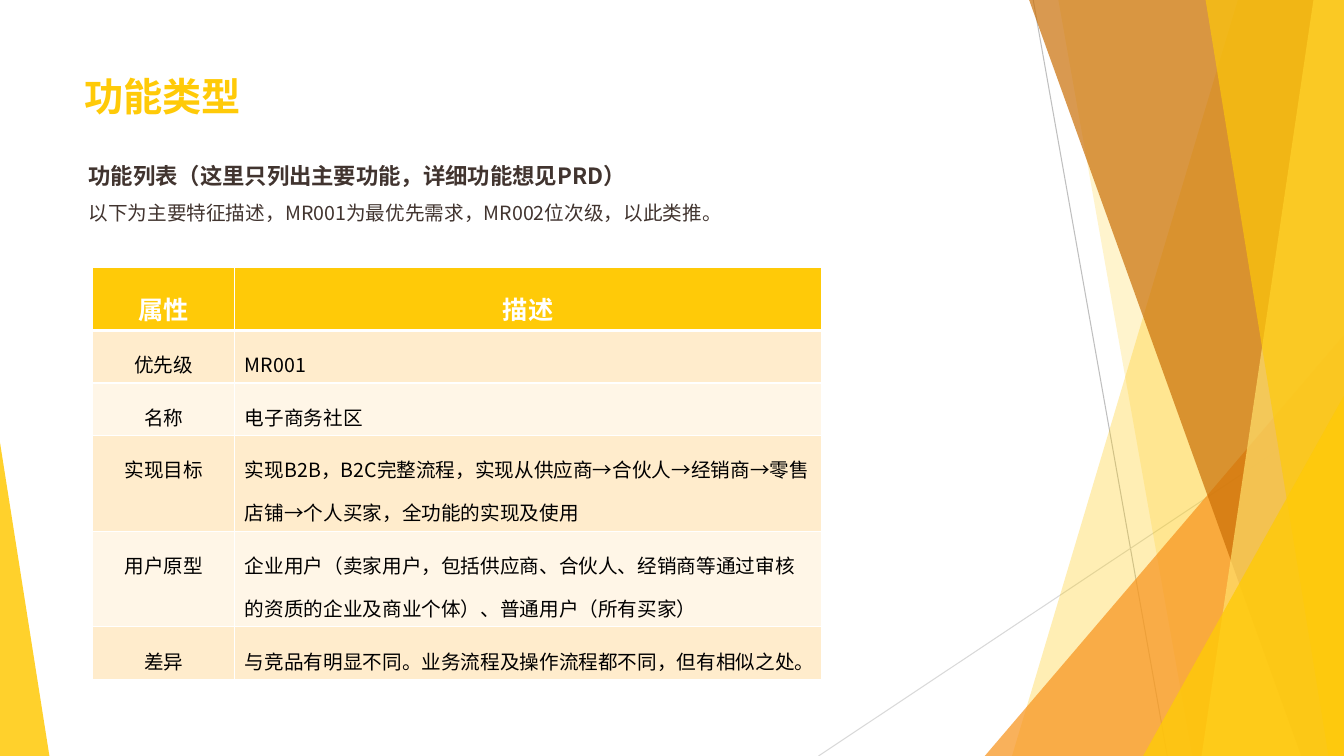
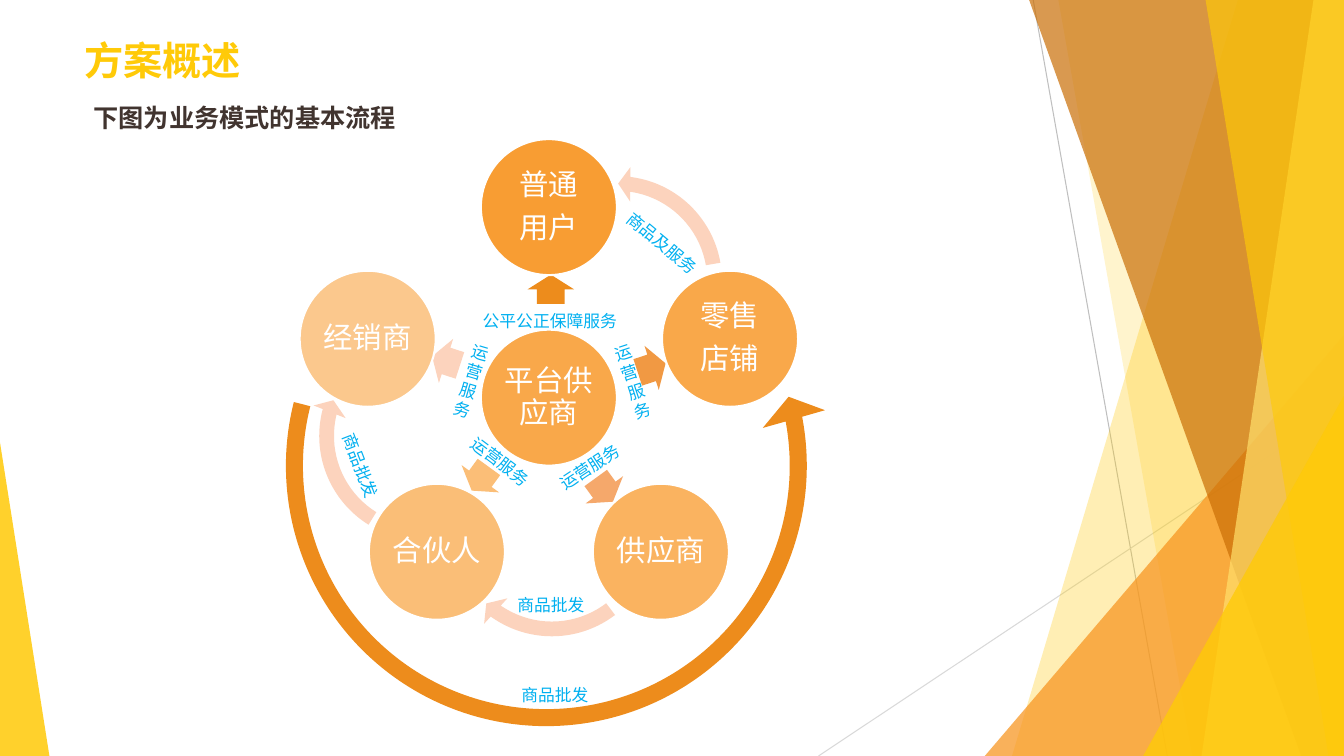
import dataclasses
import math

import lxml.etree
import pptx
import pptx.dml.color
import pptx.enum.shapes
import pptx.enum.text
import pptx.oxml
import pptx.oxml.ns
import pptx.util

CELL = pptx.util.Inches(0.1)
COLUMNS, ROWS = 133.33, 75
GOLD, ORANGE, BROWN, PALE_GOLD = "FFCA08", "F8931D", "CA6F06", "FFDF6B"
WHITE, BLACK, DARK, SKY = "FFFFFF", "000000", "41342F", "00B0F0"
AMBER, BLUSH = "ED8C1C", "FCD3BD"
BANDS = ("FFECCC", "FFF6E7")
LATIN_FONT, CHINESE_FONT = "Roboto", "Noto Sans CJK SC"
PRESET = pptx.enum.shapes.MSO_SHAPE
CENTER = pptx.enum.text.PP_ALIGN.CENTER
MIDDLE = pptx.enum.text.MSO_ANCHOR.MIDDLE
GROW = pptx.enum.text.MSO_AUTO_SIZE.SHAPE_TO_FIT_TEXT


@dataclasses.dataclass
class Box:
    """A rectangle measured in grid columns and rows."""

    left: float
    top: float
    width: float
    height: float

    def inner(self, left, top, width, height):
        """Return a box placed relative to this one."""
        return Box(self.left + left, self.top + top, width, height)

    def lengths(self):
        """Return left, top, width and height as slide lengths."""
        return [cells(value) for value in dataclasses.astuple(self)]


def cells(count):
    """Turn a count of grid cells into a length."""
    return pptx.util.Emu(round(count * CELL))


def color(hex_string):
    """Turn a hex string into a colour."""
    return pptx.dml.color.RGBColor.from_string(hex_string)


def paint(shape, hex_string, opacity=100):
    """Fill a shape without outline or shadow."""
    shape.shadow.inherit = False
    shape.line.fill.background()
    shape.fill.solid()
    shape.fill.fore_color.rgb = color(hex_string)
    if opacity < 100:
        tone = shape.element.spPr.find(".//" + pptx.oxml.ns.qn("a:srgbClr"))
        alpha = lxml.etree.SubElement(tone, pptx.oxml.ns.qn("a:alpha"))
        alpha.set("val", str(opacity * 1000))


def write(frame, lines, size, hex_string, font=CHINESE_FONT, bold=False,
          align=None, spacing=None, after=None):
    """Write each line as a paragraph of a text frame."""
    for index, line in enumerate(lines):
        fresh = index == 0 and not frame.paragraphs[0].runs
        paragraph = frame.paragraphs[0] if fresh else frame.add_paragraph()
        paragraph.alignment = align
        paragraph.line_spacing = spacing
        paragraph.space_after = after
        run = paragraph.add_run()
        run.text = line
        run.font.size = pptx.util.Pt(size)
        run.font.bold = bold
        run.font.name = font
        run.font.color.rgb = color(hex_string)
        east_asian = lxml.etree.SubElement(run.font._element, pptx.oxml.ns.qn("a:ea"))
        east_asian.set("typeface", font)


def add_text_box(slide, box, wrap=True):
    """Add an empty text box and return it."""
    text_box = slide.shapes.add_textbox(*box.lengths())
    text_box.text_frame.word_wrap = wrap
    return text_box


def add_preset(slide, preset, box, hex_string, opacity=100, rotation=0, adjustments=()):
    """Add a filled preset shape."""
    shape = slide.shapes.add_shape(preset, *box.lengths())
    paint(shape, hex_string, opacity)
    shape.rotation = rotation
    for index, value in enumerate(adjustments):
        shape.adjustments[index] = value
    return shape


def add_ray(slide, frame, start, end, hex_string):
    """Draw a thin line between two points of the frame."""
    points = [cells(value) for x, y in (start, end) for value in (frame.left + x, frame.top + y)]
    connector = slide.shapes.add_connector(pptx.enum.shapes.MSO_CONNECTOR.STRAIGHT, *points)
    connector.line.color.rgb = color(hex_string)
    connector.line.width = pptx.util.Pt(0.75)
    lxml.etree.SubElement(connector.element.spPr, pptx.oxml.ns.qn("a:effectLst"))


def add_shard(slide, frame, edge, hex_string, opacity):
    """Fill the frame from a slanted edge to its right side."""
    upper, lower = edge
    corners = [(upper, 0), (frame.width, 0), (frame.width, frame.height), (lower, frame.height)]
    points = [(cells(frame.left + x), cells(frame.top + y)) for x, y in corners]
    builder = slide.shapes.build_freeform(*points[0], scale=1.0)
    builder.add_line_segments(points[1:], close=True)
    paint(builder.convert_to_shape(), hex_string, opacity)


def add_wedge(slide, frame, wedge, hex_string, opacity):
    """Stand a triangle on the bottom of the frame."""
    left, width, height, apex = wedge
    box = frame.inner(left, frame.height - height, width, height)
    add_preset(slide, PRESET.ISOSCELES_TRIANGLE, box, hex_string, opacity, adjustments=[apex])


def draw_facets(slide, frame):
    """Draw the overlapping facets shared by all slides."""
    add_ray(slide, frame, (102.5, 0), (115.8, frame.height), "BFBFBF")
    add_ray(slide, frame, (frame.width, 40.3), (81.2, frame.height), "D9D9D9")
    facets = (
        (add_shard, (122.8, 100.4), GOLD, 30),
        (add_shard, (105, 118.3), GOLD, 20),
        (add_wedge, (97.7, 35.6, 41.7, 1), ORANGE, 72),
        (add_shard, (102.1, 129.1), BROWN, 70),
        (add_shard, (130.3, 119.2), PALE_GOLD, 70),
        (add_shard, (119.6, 131.8), GOLD, 65),
        (add_wedge, (113.4, 19.9, 35.7, 1), GOLD, 80),
        (add_wedge, (0, 4.9, 31.1, 0), GOLD, 85),
    )
    for draw, geometry, hex_string, opacity in facets:
        draw(slide, frame, geometry, hex_string, opacity)


def start_slide(presentation, title, title_box):
    """Add a blank slide with facets and a title."""
    slide = presentation.slides.add_slide(presentation.slide_layouts[6])
    draw_facets(slide, Box(0, 0, COLUMNS, ROWS))
    frame = add_text_box(slide, title_box).text_frame
    write(frame, [title], 28, GOLD, LATIN_FONT, bold=True)
    return slide


def set_borders(cell, bottom_width):
    """Give a table cell white borders."""
    properties = cell._tc.get_or_add_tcPr()
    for side, width in (("L", 1), ("R", 1), ("T", 1), ("B", bottom_width)):
        border = lxml.etree.SubElement(properties, pptx.oxml.ns.qn("a:ln" + side))
        border.set("w", str(pptx.util.Pt(width)))
        fill = lxml.etree.SubElement(border, pptx.oxml.ns.qn("a:solidFill"))
        lxml.etree.SubElement(fill, pptx.oxml.ns.qn("a:srgbClr")).set("val", WHITE)


def draw_feature_table(slide, box):
    """Draw the table of attributes and descriptions."""
    records = (
        ("属性", "描述"),
        ("优先级", "MR001"),
        ("名称", "电子商务社区"),
        ("实现目标", "实现B2B，B2C完整流程，实现从供应商→合伙人→经销商→零售店铺→个人买家，全功能的实现及使用"),
        ("用户原型", "企业用户（卖家用户，包括供应商、合伙人、经销商等通过审核的资质的企业及商业个体）、普通用户（所有买家）"),
        ("差异", "与竞品有明显不同。业务流程及操作流程都不同，但有相似之处。"),
    )
    table = slide.shapes.add_table(len(records), 2, *box.lengths()).table
    table.first_row = table.horz_banding = False
    for column, width in zip(table.columns, (14.1, box.width - 14.1)):
        column.width = cells(width)
    for row, height in zip(table.rows, (6.3, 5.2, 5.2, 9.5, 9.5, 5.2)):
        row.height = cells(height)
    for row_index, record in enumerate(records):
        header = row_index == 0
        for column_index, text in enumerate(record):
            cell = table.cell(row_index, column_index)
            set_borders(cell, 3 if header else 1)
            cell.fill.solid()
            cell.fill.fore_color.rgb = color(GOLD if header else BANDS[(row_index - 1) % 2])
            write(cell.text_frame, [text], 18 if header else 14, WHITE if header else BLACK,
                  bold=header, spacing=1.5,
                  align=CENTER if header or column_index == 0 else None)


def draw_disc(slide, frame, center, lines, opacity):
    """Draw a labelled disc around a point of the frame."""
    size = 13.5
    box = frame.inner(center[0] - size / 2, center[1] - size / 2, size, size)
    disc = add_preset(slide, PRESET.OVAL, box, ORANGE, opacity)
    disc.line.color.rgb = color(WHITE)
    disc.line.width = pptx.util.Pt(1.5)
    text_frame = disc.text_frame
    text_frame.word_wrap = True
    text_frame.vertical_anchor = MIDDLE
    text_frame.margin_left = text_frame.margin_right = cells(0.3)
    text_frame.margin_top = text_frame.margin_bottom = cells(0.3)
    write(text_frame, lines, 21, WHITE, LATIN_FONT, align=CENTER, spacing=0.9,
          after=pptx.util.Pt(8))


def draw_wheel(slide, frame):
    """Draw the hub, its spokes and the outer discs."""
    hub, radius = (28.45, 25.65), 18.9
    draw_disc(slide, frame, hub, ["平台供应商"], 80)
    spokes = (
        (["普通", "用户"], 90, (27.2, 12.6), AMBER),
        (["零售", "店铺"], 80, (37.2, 20.4), "F19943"),
        (["供应商"], 70, (32.5, 32.5), "F5A86B"),
        (["合伙人"], 60, (20.2, 31.4), "FBBE77"),
        (["经销商"], 50, (16.8, 19.7), BLUSH),
    )
    step = 360 / len(spokes)
    for index, (lines, opacity, corner, hex_string) in enumerate(spokes):
        heading = (270 + step * index) % 360
        angle = math.radians(heading)
        center = (hub[0] + radius * math.cos(angle), hub[1] + radius * math.sin(angle))
        add_preset(slide, PRESET.RIGHT_ARROW, frame.inner(*corner, 2.9, 4.6), hex_string,
                   rotation=heading, adjustments=(0.6, 0.5))
        draw_disc(slide, frame, center, lines, opacity)


def draw_labels(slide, frame):
    """Write the captions of the arrows."""
    labels = (
        (["公平公正保障服务"], (19.3, 16.5, 18.5, 3), 0),
        (["商品及服务"], (34.2, 8.8, 11, 3), 39.9),
        (list("运营服务"), (35, 19.7, 2.8, 9.1), 341.9),
        (["运营服务"], (27.8, 31, 9.5, 3), 326.7),
        (list("运营服务"), (18.3, 19.5, 4.9, 9.1), 16.6),
        (["商品批发"], (4.4, 30.9, 10.7, 3), 69),
        (["商品批发"], (23.8, 53.6, 10.5, 3), 0),
        (["商品批发"], (23.4, 44.7, 10.5, 3), 0),
        (["运营服务"], (18.9, 30.5, 9.5, 3), 37.1),
    )
    for lines, place, rotation in labels:
        label = add_text_box(slide, frame.inner(*place))
        label.rotation = rotation
        label.text_frame.auto_size = GROW
        write(label.text_frame, lines, 12, SKY, align=CENTER)


def draw_arcs(slide, frame):
    """Draw the curved arrows between the outer discs."""
    small = (PRESET.LEFT_CIRCULAR_ARROW, 22.7, 1.46, 1.71, (4.3, 104.89, 148.38), BLUSH)
    large = (PRESET.CIRCULAR_ARROW, 56.4, 1.69, 3.21, (3.13, 33.04, 126.15), AMBER)
    arcs = (
        (small, (23.9, 2.7), 102.8, False),
        (large, (0, 4.2), 224.4, True),
        (small, (4.7, 18.1), 189.2, True),
        (small, (17.4, 27.6), 120.1, True),
    )
    for (preset, size, thickness, head, angles, hex_string), corner, rotation, flipped in arcs:
        arc = add_preset(slide, preset, frame.inner(*corner, size, size), hex_string,
                         rotation=rotation,
                         adjustments=(thickness / size, *angles, head / size))
        if flipped:
            arc.element.spPr.find(pptx.oxml.ns.qn("a:xfrm")).set("flipH", "1")


def build_feature_slide(presentation):
    """Build the slide that lists the main features."""
    slide = start_slide(presentation, "功能类型", Box(7.4, 6.7, 94, 8.2))
    draw_feature_table(slide, Box(9.2, 26.5, 72.3, 40.9))
    frame = add_text_box(slide, Box(7.8, 14.3, 66.7, 8.6)).text_frame
    write(frame, ["功能列表（这里只列出主要功能，详细功能想见PRD）"], 16, DARK, bold=True, spacing=1.5)
    write(frame, ["以下为主要特征描述，MR001为最优先需求，MR002位次级，以此类推。"], 14, DARK, spacing=1.5)


def build_process_slide(presentation):
    """Build the slide that shows the business process."""
    slide = start_slide(presentation, "方案概述", Box(7.4, 3.1, 94, 6.4))
    frame = add_text_box(slide, Box(8.3, 9.7, 32.3, 4), wrap=False).text_frame
    write(frame, ["下图为业务模式的基本流程"], 18, DARK, bold=True)
    diagram = Box(26, 13.8, 56.4, 60.6)
    for draw in (draw_wheel, draw_labels, draw_arcs):
        draw(slide, diagram)


def main():
    """Build and save the presentation."""
    presentation = pptx.Presentation()
    presentation.slide_width = cells(COLUMNS)
    presentation.slide_height = cells(ROWS)
    build_feature_slide(presentation)
    build_process_slide(presentation)
    presentation.save("out.pptx")


if __name__ == "__main__":
    main()
